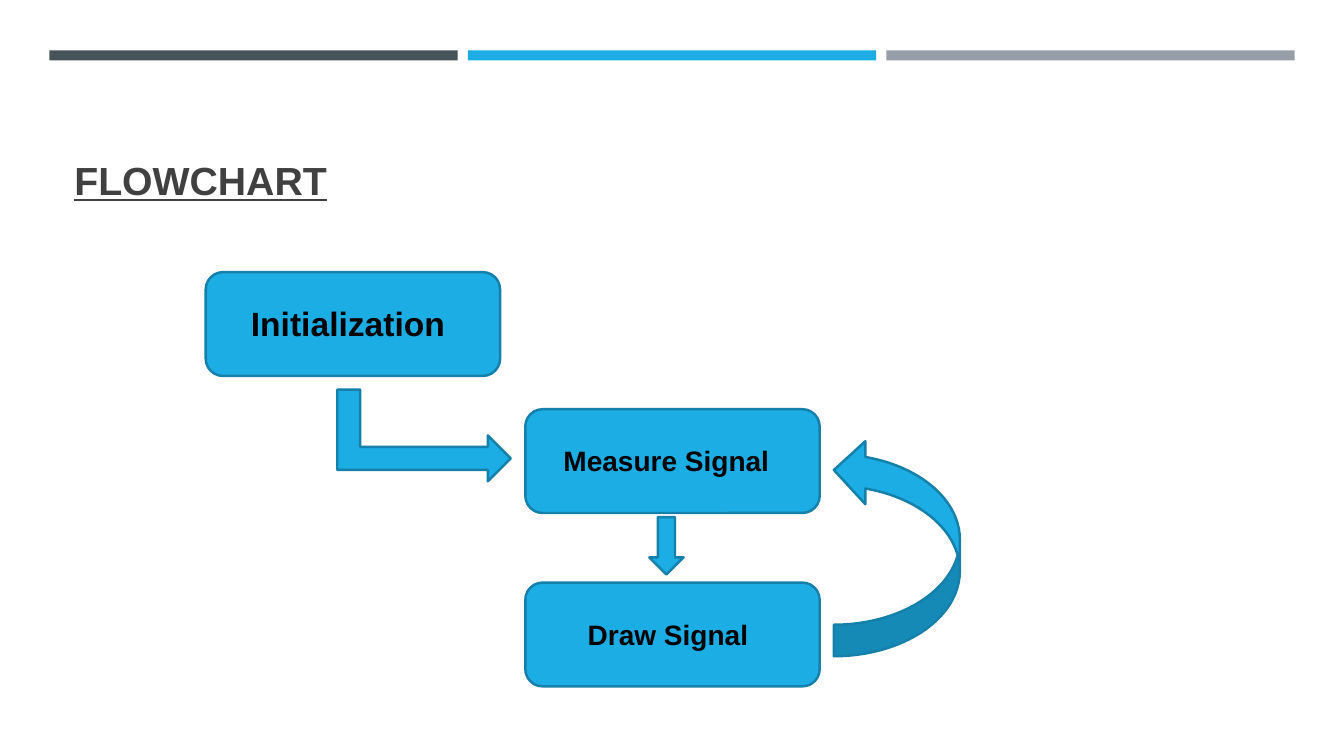
from dataclasses import dataclass

from pptx import Presentation
from pptx.dml.color import RGBColor
from pptx.enum.shapes import MSO_SHAPE
from pptx.enum.text import MSO_ANCHOR
from pptx.util import Inches, Pt


@dataclass(frozen=True)
class Theme:
    font: str = "Arial"
    blue: str = "1CADE4"
    outline: str = "1580A9"
    slate: str = "465359"
    gray: str = "969FA7"
    title: str = "404040"
    label: str = "000000"
    title_size: int = 28
    start_size: int = 24
    step_size: int = 20
    line_width: float = 1.75


THEME = Theme()
BOX_W, BOX_H = 2.92, 1.03


def add_block(shapes, kind, box, fill, line=None, rotation=0):
    sp = shapes.add_shape(kind, *map(Inches, box))
    sp.shadow.inherit = False
    sp.fill.solid()
    sp.fill.fore_color.rgb = RGBColor.from_string(fill)
    if line:
        sp.line.color.rgb = RGBColor.from_string(line)
        sp.line.width = Pt(THEME.line_width)
    else:
        sp.line.fill.background()
    sp.rotation = rotation


def add_text(shapes, text, box, size, color, anchor, underline=None):
    sp = shapes.add_textbox(*map(Inches, box))
    tf = sp.text_frame
    tf.word_wrap = True
    tf.vertical_anchor = anchor
    p = tf.paragraphs[0]
    p.text = text
    p.font.name = THEME.font
    p.font.size = Pt(size)
    p.font.bold = True
    p.font.underline = underline
    p.font.color.rgb = RGBColor.from_string(color)


def add_step(s, text, left, top, label_box, size):
    group = s.shapes.add_group_shape()
    add_block(group.shapes, MSO_SHAPE.ROUNDED_RECTANGLE,
              (left, top, BOX_W, BOX_H), THEME.blue, THEME.outline)
    add_text(group.shapes, text, label_box, size, THEME.label, MSO_ANCHOR.TOP)


def add_arrow(s, kind, box, rotation=0):
    add_block(s.shapes, kind, box, THEME.blue, THEME.outline, rotation)


def add_header_bars(s):
    for i, color in enumerate((THEME.slate, THEME.blue, THEME.gray)):
        add_block(s.shapes, MSO_SHAPE.RECTANGLE,
                  (0.49 + i * 4.15, 0.5, 4.05, 0.1), color)


def main():
    prs = Presentation()
    prs.slide_width, prs.slide_height = Inches(13.33), Inches(7.5)
    s = prs.slides.add_slide(prs.slide_layouts[6])

    add_header_bars(s)
    add_text(s.shapes, "FLOWCHART", (0.64, 0.77, 12.06, 1.3),
             THEME.title_size, THEME.title, MSO_ANCHOR.BOTTOM, underline=True)

    add_step(s, "Initialization", 2.04, 2.7,
             (2.39, 2.96, 2.58, 0.5), THEME.start_size)
    add_step(s, "Measure Signal", 5.21, 4.06,
             (5.49, 4.35, 2.63, 0.44), THEME.step_size)
    add_step(s, "Draw Signal", 5.21, 5.78,
             (5.73, 6.08, 2.59, 0.44), THEME.step_size)

    add_arrow(s, MSO_SHAPE.BENT_UP_ARROW, (3.75, 3.46, 0.91, 1.72), 90)
    add_arrow(s, MSO_SHAPE.DOWN_ARROW, (6.44, 5.13, 0.34, 0.57))
    add_arrow(s, MSO_SHAPE.CURVED_RIGHT_ARROW, (8.27, 4.35, 1.25, 2.16), 180)

    prs.save("out.pptx")


if __name__ == "__main__":
    main()
